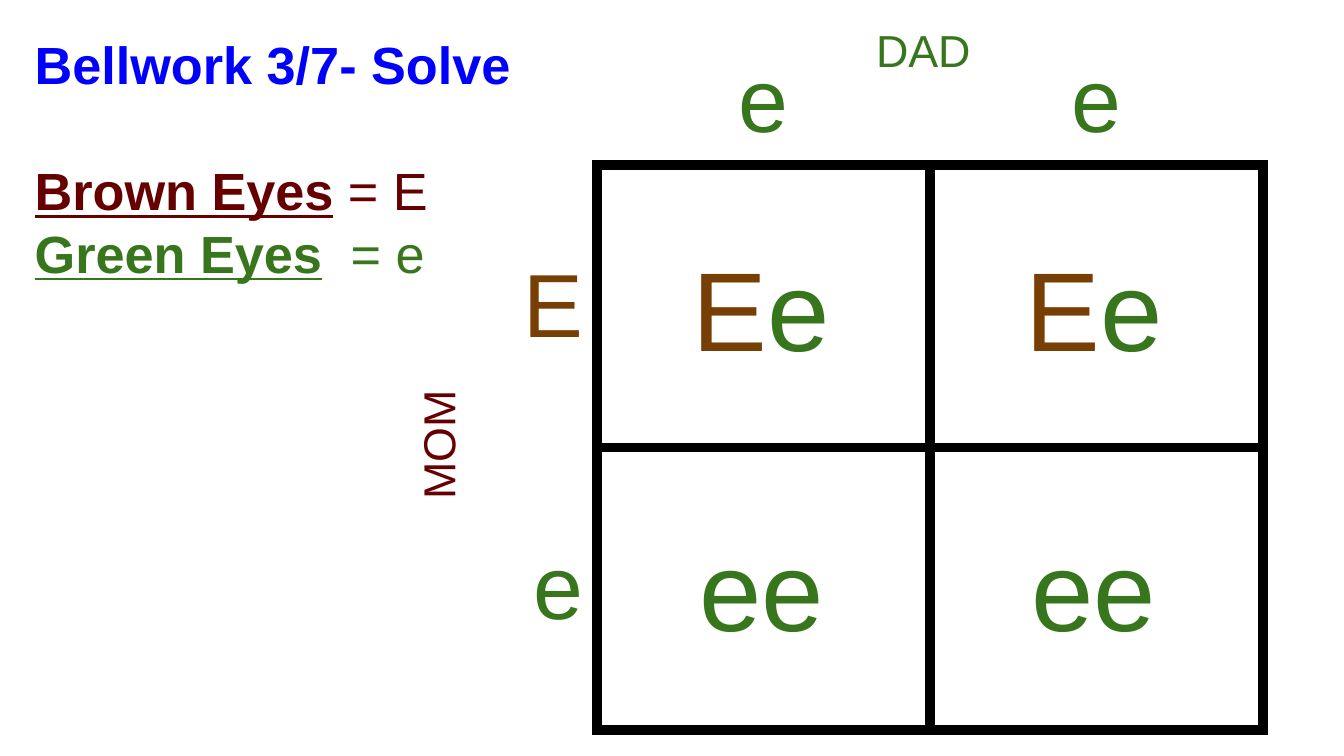
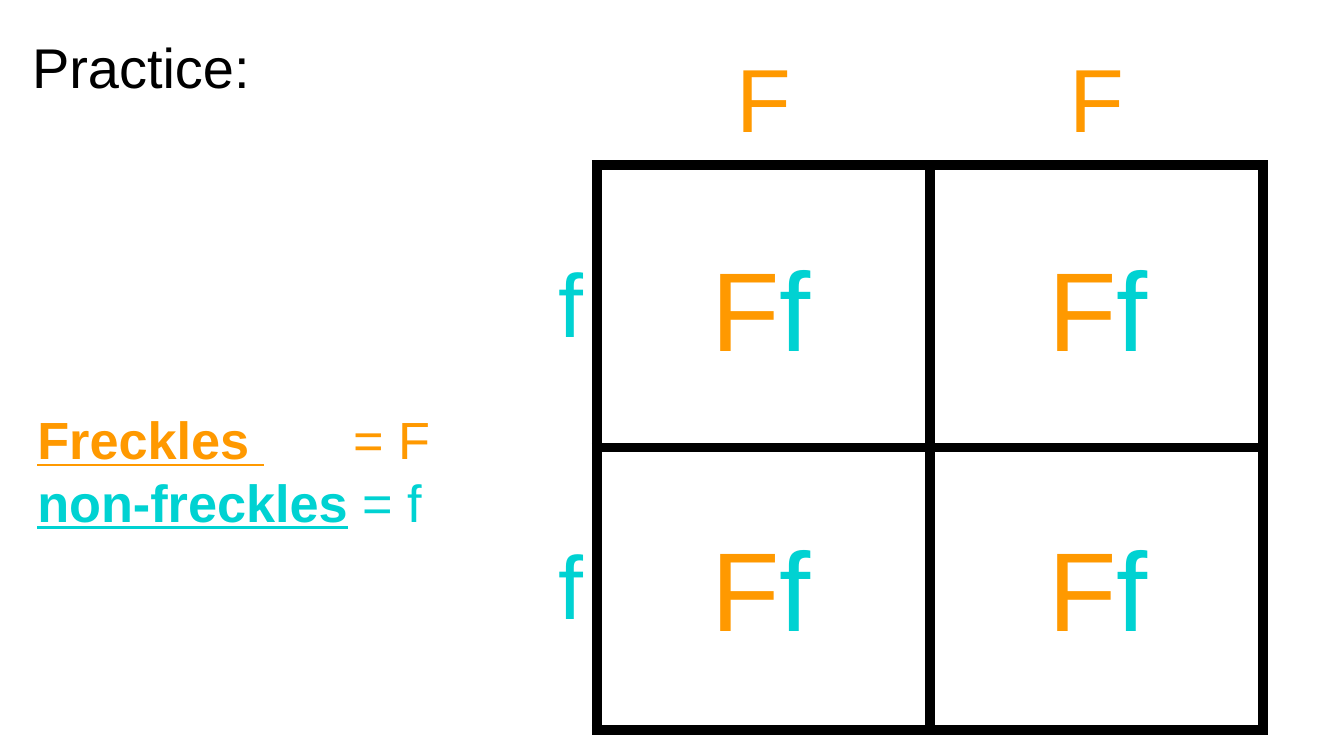
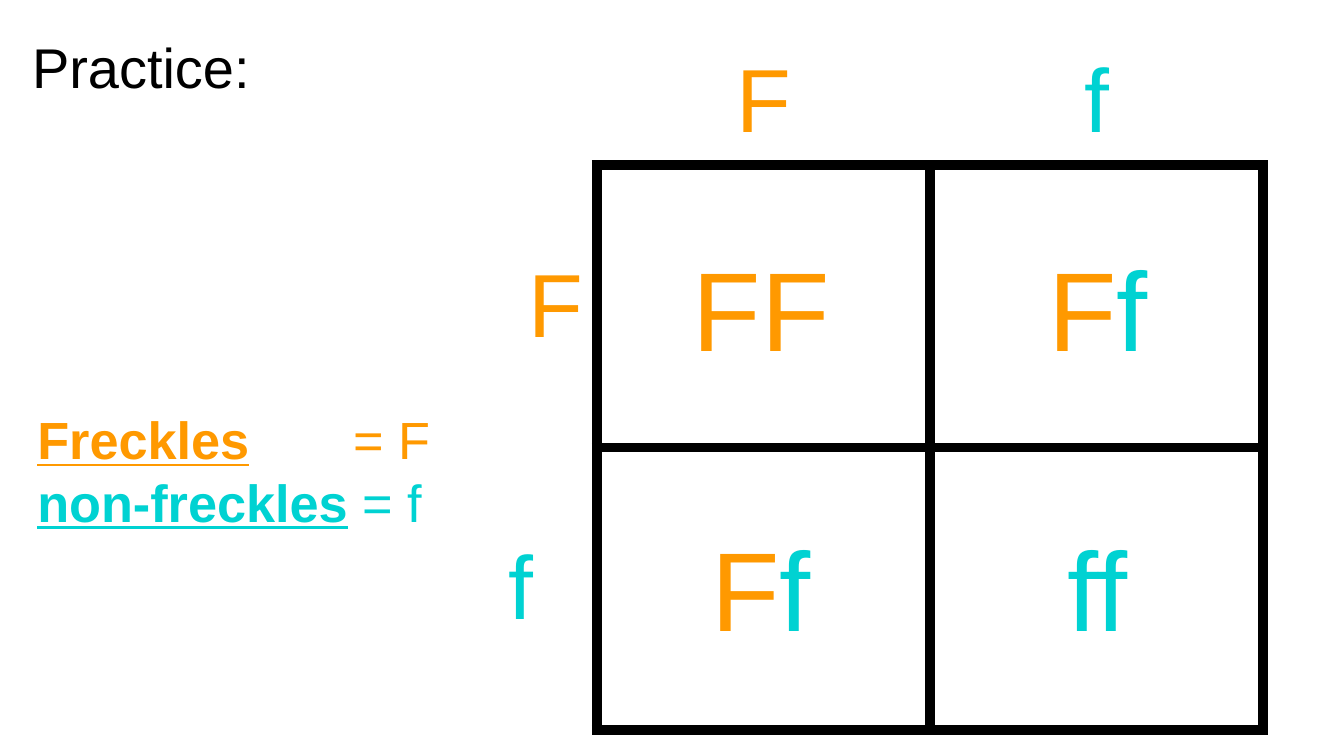
"""Build three slides of Punnett square exercises."""
import dataclasses
import itertools

import lxml.etree
import pptx
import pptx.dml.color
import pptx.enum.text
import pptx.oxml
import pptx.oxml.ns
import pptx.util

EMU_PER_PX = 4572
ALIGN = pptx.enum.text.PP_ALIGN
ANCHOR = pptx.enum.text.MSO_ANCHOR


@dataclasses.dataclass(frozen=True)
class Theme:
    """Hold colours, type sizes and line widths."""

    font: str = "Arial"
    ink: str = "000000"
    blue: str = "0000FF"
    maroon: str = "660000"
    brown: str = "783F04"
    green: str = "38761D"
    orange: str = "FF9900"
    turquoise: str = "00D2D2"
    genotype_size: int = 60
    allele_size: int = 48
    heading_size: int = 30
    legend_size: int = 28
    parent_size: int = 24
    section_gap: int = 34
    border_width: int = 6


@dataclasses.dataclass
class Run:
    """Describe a stretch of text in one style."""

    text: str
    color: str
    bold: bool = False
    underline: bool = False


def px(length):
    """Turn whole pixels into EMU."""
    return pptx.util.Emu(length * EMU_PER_PX)


class Deck:
    """Draw elements on the current slide in one style."""

    table_left, table_top = 392, -174
    column_width, row_height = 496, 420
    genotype_width, genotype_height = 428, 320
    inset = 20
    tab_stop = 470

    def __init__(self, theme):
        """Start an empty presentation."""
        self.theme = theme
        self.presentation = pptx.Presentation()
        self.presentation.slide_width = px(2000)
        self.presentation.slide_height = px(1125)
        self.slide = None

    def new_slide(self):
        """Add a blank slide and make it current."""
        layout = self.presentation.slide_layouts[6]
        self.slide = self.presentation.slides.add_slide(layout)

    def add_runs(self, paragraph, runs, size, align=ALIGN.LEFT):
        """Fill a paragraph run by run."""
        paragraph.alignment = align
        for item in runs:
            run = paragraph.add_run()
            run.text = item.text
            run.font.name = self.theme.font
            run.font.size = pptx.util.Pt(size)
            run.font.bold = item.bold
            run.font.underline = item.underline
            run.font.color.rgb = pptx.dml.color.RGBColor.from_string(item.color)

    def add_tab_stop(self, paragraph):
        """Set the column where the legend symbols start."""
        properties = paragraph._p.get_or_add_pPr()
        tabs = lxml.etree.SubElement(properties, pptx.oxml.ns.qn("a:tabLst"))
        lxml.etree.SubElement(tabs, pptx.oxml.ns.qn("a:tab"),
                              pos=str(int(px(self.tab_stop))), algn="l")

    def text(self, box, lines, size, align=ALIGN.LEFT, anchor=ANCHOR.TOP, rotation=0):
        """Add a text box and return its paragraphs."""
        shape = self.slide.shapes.add_textbox(*map(px, box))
        shape.rotation = rotation
        frame = shape.text_frame
        frame.word_wrap = True
        frame.vertical_anchor = anchor
        frame.margin_left = frame.margin_right = px(self.inset)
        frame.margin_top = frame.margin_bottom = px(self.inset)
        for index, runs in enumerate(lines):
            paragraph = frame.add_paragraph() if index else frame.paragraphs[0]
            self.add_runs(paragraph, runs, size, align)
        return frame.paragraphs

    def border(self, cell, sides):
        """Draw the given sides of a cell and clear the others."""
        properties = cell._tc.get_or_add_tcPr()
        width = int(pptx.util.Pt(self.theme.border_width))
        for side in "LRTB":
            fill = "<a:noFill/>"
            if side in sides:
                fill = f'<a:solidFill><a:srgbClr val="{self.theme.ink}"/></a:solidFill>'
            properties.append(pptx.oxml.parse_xml(
                f'<a:ln{side} {pptx.oxml.ns.nsdecls("a")} w="{width}">{fill}</a:ln{side}>'))
        cell.fill.background()

    def label(self, cell, allele, color, align, anchor, indent=0):
        """Put a parent's allele in a header cell."""
        cell.vertical_anchor = anchor
        cell.margin_left = cell.margin_top = cell.margin_bottom = px(self.inset)
        cell.margin_right = px(self.inset + indent)
        self.add_runs(cell.text_frame.paragraphs[0], [Run(allele, color)],
                      self.theme.allele_size, align)

    def punnett(self, dad, mom, colors, right_column, last_indent=0):
        """Add the square, its allele labels and the crossed genotypes."""
        frame = self.slide.shapes.add_table(
            3, 3, px(self.table_left), px(self.table_top),
            px(3 * self.column_width), px(3 * self.row_height))
        table = frame.table
        table.first_row = table.horz_banding = False
        for row, column in itertools.product(range(3), repeat=2):
            sides = "LRTB" if row and column else "B" if column else "R" if row else ""
            self.border(table.cell(row, column), sides)
        for index, allele in enumerate(dad, 1):
            self.label(table.cell(0, index), allele, colors[allele],
                       ALIGN.CENTER, ANCHOR.BOTTOM)
        for index, allele in enumerate(mom, 1):
            self.label(table.cell(index, 0), allele, colors[allele], ALIGN.RIGHT,
                       ANCHOR.MIDDLE, last_indent if index == 2 else 0)
        for (top, mother), (left, father) in itertools.product(
                zip((297, 713), mom), zip((919, right_column), dad)):
            pair = itertools.groupby(sorted(mother + father))
            runs = [Run("".join(group), colors[allele]) for allele, group in pair]
            self.text((left, top, self.genotype_width, self.genotype_height), [runs],
                      self.theme.genotype_size, ALIGN.CENTER, ANCHOR.MIDDLE)

    def parent(self, name, left, top, color, rotation=0):
        """Name the parent beside the square."""
        self.text((left, top, 228, 126), [[Run(name, color)]],
                  self.theme.parent_size, rotation=rotation)

    def trait(self, name, symbol, color):
        """Return the runs of one legend line."""
        return [Run(name, color, bold=True, underline=True), Run(symbol, color)]

    def practice(self, dad, mom, dominant, last_indent=0):
        """Add a whole freckles exercise."""
        theme = self.theme
        self.new_slide()
        legend = self.text((36, 586, 700, 246), [
            self.trait(dominant, "\t= F", theme.orange),
            self.trait("non-freckles", " = f", theme.turquoise),
        ], theme.legend_size)
        self.add_tab_stop(legend[0])
        self.punnett(dad, mom, {"F": theme.orange, "f": theme.turquoise}, 1420, last_indent)
        self.text((28, 28, 700, 246), [[Run("Practice:", theme.ink)]], theme.heading_size)

    def bellwork(self):
        """Add the eye colour exercise."""
        theme = self.theme
        self.new_slide()
        self.punnett("ee", "Ee", {"E": theme.brown, "e": theme.green}, 1414)
        paragraphs = self.text((32, 28, 784, 454), [
            [Run("Bellwork 3/7- Solve", theme.blue, bold=True)],
            self.trait("Brown Eyes", " = E", theme.maroon),
            self.trait("Green Eyes", "\t= e", theme.green),
        ], theme.legend_size)
        paragraphs[1].space_before = pptx.util.Pt(theme.section_gap)
        self.add_tab_stop(paragraphs[2])
        self.parent("MOM", 540, 586, theme.maroon, rotation=270)
        self.parent("DAD", 1284, 14, theme.green)


def main():
    """Build and save the slides."""
    deck = Deck(Theme())
    deck.bellwork()
    deck.practice("FF", "ff", "Freckles ")
    deck.practice("Ff", "Ff", "Freckles", last_indent=74)
    deck.presentation.save("out.pptx")


if __name__ == "__main__":
    main()
